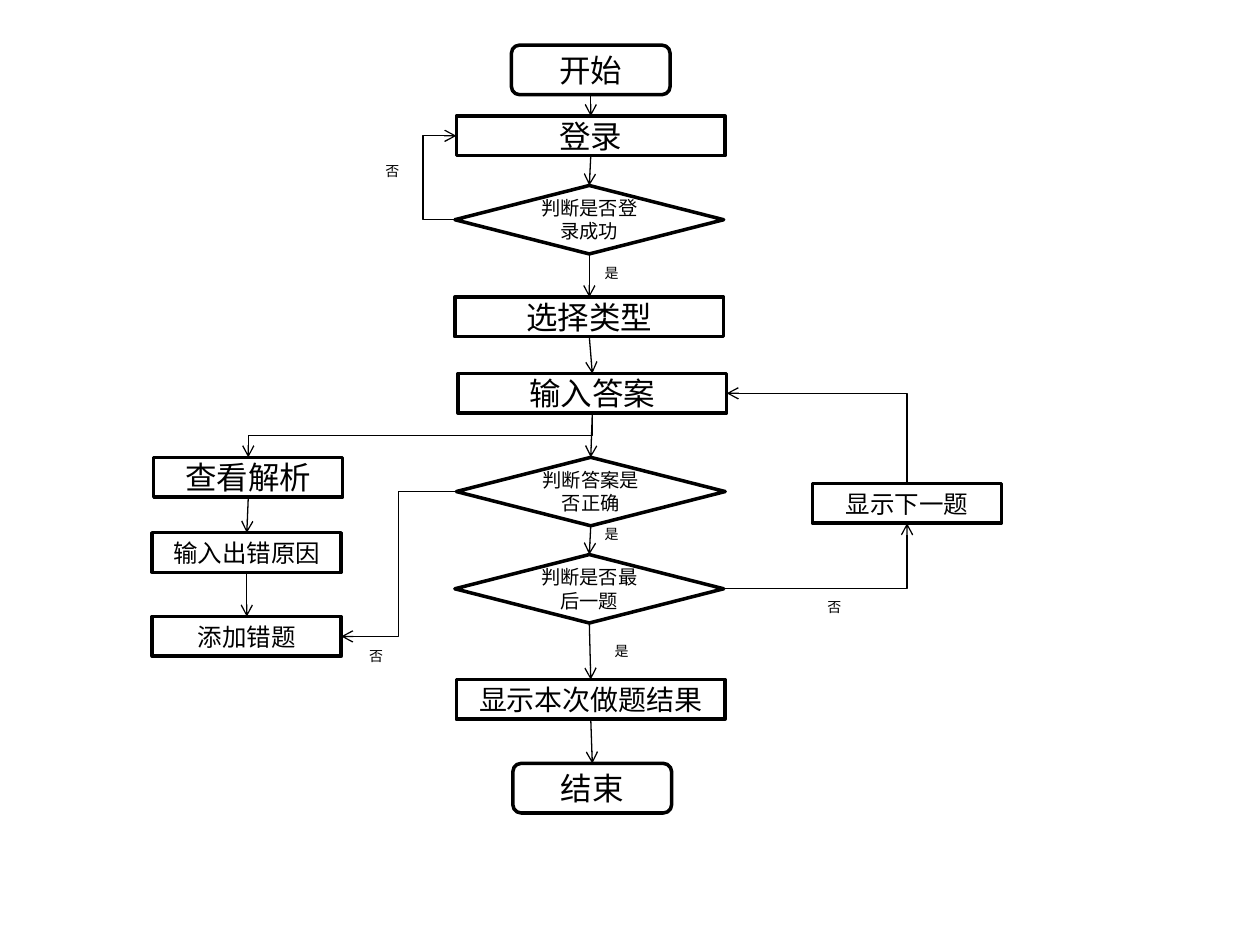
from dataclasses import dataclass
from typing import Optional

from lxml.etree import SubElement
from pptx import Presentation
from pptx.dml.color import RGBColor
from pptx.enum.shapes import MSO_CONNECTOR as Link, MSO_SHAPE as Kind
from pptx.enum.text import MSO_ANCHOR, MSO_AUTO_SIZE, PP_ALIGN
from pptx.oxml.ns import qn
from pptx.util import Cm, Pt

COLORS = {"ink": "000000"}
FONT = "Calibri"
TOP, LEFT, BOTTOM, RIGHT = range(4)  # connection sites
SIZES = {  # width and height in cm
    "terminal": (3.2, 1.0),
    "step": (5.42, 0.8),
    "decision": (5.42, 1.38),
    "side": (3.81, 0.8),
}
KINDS = {
    "terminal": Kind.ROUNDED_RECTANGLE,
    "step": Kind.RECTANGLE,
    "decision": Kind.FLOWCHART_DECISION,
    "side": Kind.RECTANGLE,
}


@dataclass
class Node:
    text: str
    role: str
    left: float
    top: float
    size: int = 18


@dataclass
class Arrow:
    start: str
    end: str
    exit: int = BOTTOM
    entry: int = TOP
    elbow: Optional[str] = None
    bend_x: Optional[float] = None


@dataclass
class Answer:
    text: str
    left: float
    top: float


NODES = {
    "start": Node("开始", "terminal", 10.31, 0.91),
    "login": Node("登录", "step", 9.2, 2.34),
    "logged_in": Node("判断是否登录成功", "decision", 9.17, 3.74, 11),
    "choose": Node("选择类型", "step", 9.17, 5.99),
    "answer": Node("输入答案", "step", 9.23, 7.53),
    "correct": Node("判断答案是否正确", "decision", 9.2, 9.22, 11),
    "last": Node("判断是否最后一题", "decision", 9.17, 11.18, 11),
    "result": Node("显示本次做题结果", "step", 9.2, 13.7, 16),
    "end": Node("结束", "terminal", 10.34, 15.39),
    "analysis": Node("查看解析", "side", 3.1, 9.22),
    "reason": Node("输入出错原因", "side", 3.07, 10.74, 14),
    "add_wrong": Node("添加错题", "side", 3.07, 12.43, 14),
    "next": Node("显示下一题", "side", 16.38, 9.75, 14),
}

MAIN_FLOW = ["start", "login", "logged_in", "choose", "answer",
             "correct", "last", "result", "end"]
MISTAKE_FLOW = ["analysis", "reason", "add_wrong"]
ARROWS = [
    Arrow(start, end)
    for flow in (MAIN_FLOW, MISTAKE_FLOW)
    for start, end in zip(flow, flow[1:])
] + [
    Arrow("logged_in", "login", LEFT, LEFT, "bentConnector3", 8.53),
    Arrow("correct", "add_wrong", LEFT, RIGHT, "bentConnector3"),
    Arrow("answer", "analysis", BOTTOM, TOP, "bentConnector3"),
    Arrow("last", "next", RIGHT, BOTTOM, "bentConnector2"),
    Arrow("next", "answer", TOP, RIGHT, "bentConnector2"),
]

ANSWERS = [
    Answer("否", 7.52, 3.15),
    Answer("是", 11.94, 5.21),
    Answer("是", 11.94, 10.46),
    Answer("否", 16.43, 11.94),
    Answer("是", 12.14, 12.83),
    Answer("否", 7.19, 12.93),
]


def ink() -> RGBColor:
    return RGBColor.from_string(COLORS["ink"])


def add_text(paragraph, text: str, size: int) -> None:
    run = paragraph.add_run()
    run.text = text
    run.font.name = FONT
    run.font.size = Pt(size)
    run.font.color.rgb = ink()


def draw_node(slide, node: Node):
    width, height = SIZES[node.role]
    shape = slide.shapes.add_shape(
        KINDS[node.role], Cm(node.left), Cm(node.top), Cm(width), Cm(height))
    shape.shadow.inherit = False
    shape.fill.background()
    shape.line.color.rgb = ink()
    shape.line.width = Pt(2)
    frame = shape.text_frame
    frame.word_wrap = True
    frame.vertical_anchor = MSO_ANCHOR.MIDDLE
    frame.paragraphs[0].alignment = PP_ALIGN.CENTER
    add_text(frame.paragraphs[0], node.text, node.size)
    return shape


def turn_vertical(connector) -> None:
    """Make a leftward elbow leave its start vertically, by a quarter turn."""
    goes_up = connector.end_y < connector.begin_y
    width, height = connector.width, connector.height
    shift = (width - height) // 2
    connector.left, connector.top = connector.left + shift, connector.top - shift
    connector.width, connector.height = height, width
    xfrm = connector._element.spPr.find(qn("a:xfrm"))
    xfrm.set("rot", str((270 if goes_up else 90) * 60000))
    xfrm.attrib.pop("flipH", None)


def draw_arrow(slide, arrow: Arrow, shapes: dict) -> None:
    kind = Link.ELBOW if arrow.elbow else Link.STRAIGHT
    connector = slide.shapes.add_connector(kind, 0, 0, 0, 0)
    connector.begin_connect(shapes[arrow.start], arrow.exit)
    connector.end_connect(shapes[arrow.end], arrow.entry)
    connector.line.color.rgb = ink()
    connector.line.width = Pt(0.75)
    properties = connector._element.spPr
    SubElement(properties.find(qn("a:ln")), qn("a:tailEnd"), type="arrow")
    SubElement(properties, qn("a:effectLst"))
    if not arrow.elbow:
        return
    geometry = properties.find(qn("a:prstGeom"))
    geometry.set("prst", arrow.elbow)
    if arrow.bend_x is not None:
        span = connector.end_x - connector.begin_x
        ratio = (Cm(arrow.bend_x) - connector.begin_x) / span
        SubElement(geometry.find(qn("a:avLst")), qn("a:gd"),
                   name="adj1", fmla=f"val {round(ratio * 100000)}")
    if arrow.exit in (TOP, BOTTOM):
        turn_vertical(connector)


def draw_answer(slide, answer: Answer) -> None:
    box = slide.shapes.add_textbox(
        Cm(answer.left), Cm(answer.top), Cm(0.79), Cm(0.6))
    frame = box.text_frame
    frame.word_wrap = False
    frame.auto_size = MSO_AUTO_SIZE.SHAPE_TO_FIT_TEXT
    add_text(frame.paragraphs[0], answer.text, 8)


def main() -> None:
    deck = Presentation()
    deck.slide_width, deck.slide_height = Cm(25.4), Cm(19.05)
    slide = deck.slides.add_slide(deck.slide_layouts[6])
    shapes = {key: draw_node(slide, node) for key, node in NODES.items()}
    for arrow in ARROWS:
        draw_arrow(slide, arrow, shapes)
    for answer in ANSWERS:
        draw_answer(slide, answer)
    deck.save("out.pptx")


if __name__ == "__main__":
    main()
